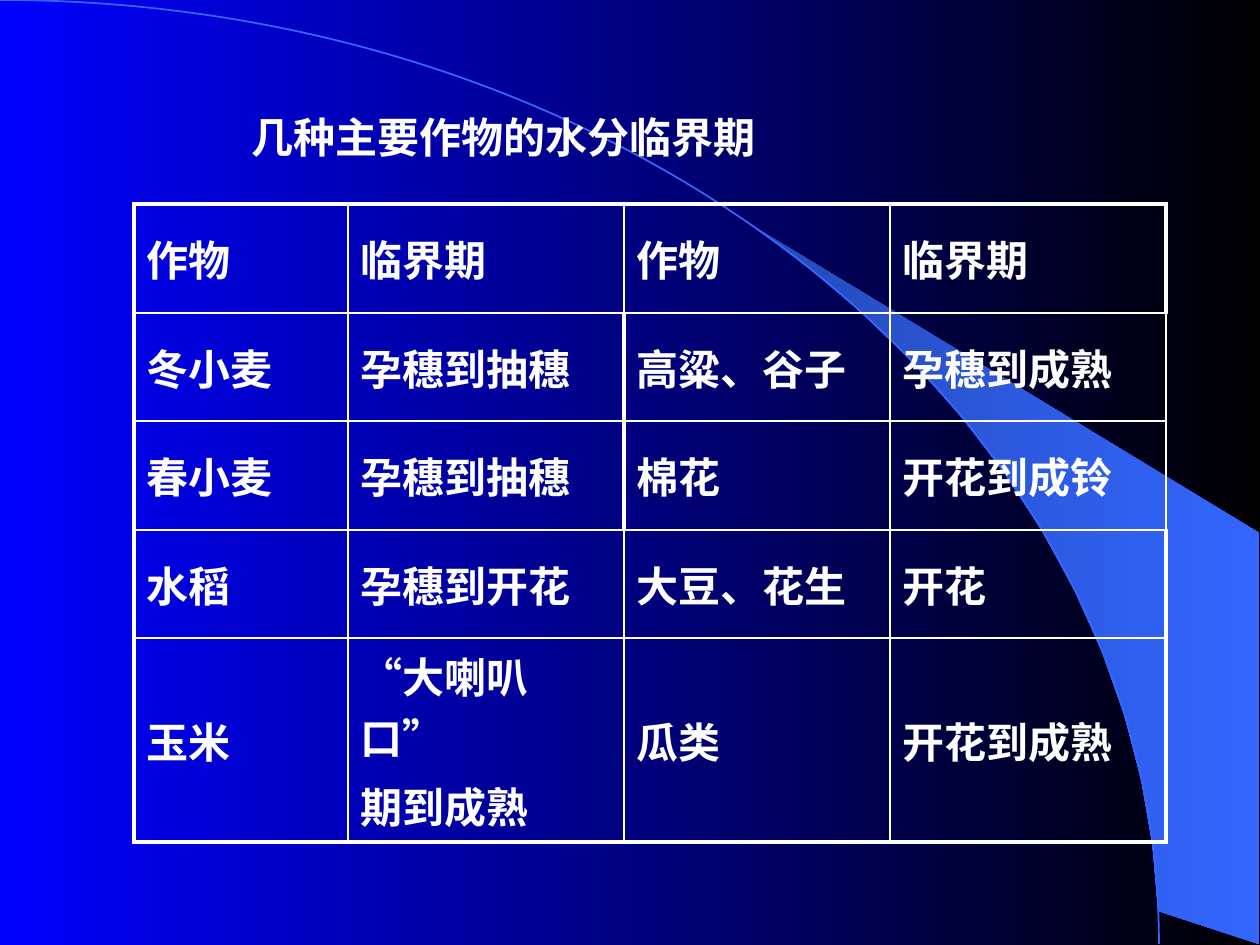
import math
from dataclasses import dataclass

from lxml import etree
from pptx import Presentation
from pptx.dml.color import RGBColor
from pptx.enum.lang import MSO_LANGUAGE_ID
from pptx.enum.text import MSO_ANCHOR
from pptx.oxml.ns import qn
from pptx.util import Emu, Pt

MIDDLE = MSO_ANCHOR.MIDDLE
CHINESE = MSO_LANGUAGE_ID.SIMPLIFIED_CHINESE

EMU_PER_PX = 914400 / 126
SLIDE_W, SLIDE_H = 1260, 945
ARC_RX, ARC_RY = 1159, 944
ARC_CONTROLS = ((640, 0), (1159, 422))
WEDGE_ANGLES = range(40, 91, 4)  # degrees along the arc
THIN, THICK = 1, 2.25
COLORS = {"blue": "0000FF", "black": "000000", "white": "FFFFFF",
          "arc": "3366FF", "wedge": "2449B6"}
LATIN, CJK = "Times New Roman", "Noto Sans CJK SC"


@dataclass
class CropRow:
    cells: tuple[str, ...]
    height: int
    thick_middle: bool = False
    thick_right: bool = True


COL_WIDTHS = (214, 276, 266, 276)
ROWS = (
    CropRow(("作物", "临界期", "作物", "临界期"), 109),
    CropRow(("冬小麦", "孕穗到抽穗", "高粱、谷子", "孕穗到成熟"), 108,
            thick_middle=True, thick_right=False),
    CropRow(("春小麦", "孕穗到抽穗", "棉花", "开花到成铃"), 109,
            thick_middle=True, thick_right=False),
    CropRow(("水稻", "孕穗到开花", "大豆、花生", "开花"), 108),
    CropRow(("玉米", "“大喇叭口”\n期到成熟", "瓜类", "开花到成熟"), 204),
)


def px(n: float) -> Emu:
    return Emu(round(n * EMU_PER_PX))


def rgb(name: str) -> RGBColor:
    return RGBColor.from_string(COLORS[name])


def set_gradient(fill, start: str, end: str) -> None:
    fill.gradient()
    fill.gradient_angle = 0
    for stop, name in zip(fill.gradient_stops, (start, end)):
        stop.color.rgb = rgb(name)


def arc_point(degrees: int) -> tuple[float, float]:
    a = math.radians(degrees)
    return ARC_RX * math.sin(a), ARC_RY * (1 - math.cos(a))


def add_outline(slide, points: list[tuple[float, float]], close: bool):
    pts = [(px(x), px(y)) for x, y in points]
    builder = slide.shapes.build_freeform(*pts[0])
    builder.add_line_segments(pts[1:], close=close)
    sp = builder.convert_to_shape()
    sp.shadow.inherit = False
    return sp


def bend_line(sp, controls: tuple[tuple[int, int], ...]) -> None:
    """Turn the only line segment of an outline into a cubic curve."""
    segment = next(sp._element.iter(qn("a:lnTo")))
    segment.tag = qn("a:cubicBezTo")
    for i, (x, y) in enumerate(controls):
        segment.insert(i, etree.Element(qn("a:pt"), x=str(px(x)), y=str(px(y))))


def format_runs(tf, font_name: str) -> None:
    for p in tf.paragraphs:
        for r in p.runs:
            r.font.size = Pt(24)
            r.font.bold = True
            r.font.name = font_name
            r.font.language_id = CHINESE
            r.font.color.rgb = rgb("white")
            ea = etree.Element(qn("a:ea"), typeface=CJK)
            r.font._element.find(qn("a:latin")).addnext(ea)


def add_borders(cell, widths: dict[str, float]) -> None:
    tc_pr = cell._tc.get_or_add_tcPr()
    for side, width in widths.items():
        ln = etree.SubElement(tc_pr, qn(f"a:ln{side}"), w=str(Pt(width)))
        fill = etree.SubElement(ln, qn("a:solidFill"))
        etree.SubElement(fill, qn("a:srgbClr"), val=COLORS["white"])


def border_widths(row: int, col: int) -> dict[str, float]:
    data = ROWS[row]
    verticals = (True, False, data.thick_middle, False, data.thick_right)
    thick = {"L": verticals[col], "R": verticals[col + 1],
             "T": row == 0, "B": row == len(ROWS) - 1}
    return {side: THICK if on else THIN for side, on in thick.items()}


def add_background(slide) -> None:
    set_gradient(slide.background.fill, "blue", "black")
    # Light wedge outside the arc
    corners = [(1259, 944), (1259, 533)]
    wedge = add_outline(slide, corners + [arc_point(d) for d in WEDGE_ANGLES], True)
    set_gradient(wedge.fill, "wedge", "arc")
    wedge.line.fill.background()
    # Arc line
    arc = add_outline(slide, [(0, 0), (ARC_RX, ARC_RY)], False)
    bend_line(arc, ARC_CONTROLS)
    arc.fill.background()
    arc.line.color.rgb = rgb("arc")
    arc.line.width = Pt(1)


def add_title(slide) -> None:
    sp = slide.shapes.add_textbox(px(144), px(85), px(993), px(89))
    tf = sp.text_frame
    tf.word_wrap = True
    tf.margin_left = px(108)
    tf.text = "几种主要作物的水分临界期"
    tf.paragraphs[0].line_spacing = 1.4
    format_runs(tf, CJK)


def add_crop_table(slide) -> None:
    frame = slide.shapes.add_table(
        len(ROWS), len(COL_WIDTHS), px(134), px(204),
        px(sum(COL_WIDTHS)), px(sum(row.height for row in ROWS)))
    table = frame.table
    table.first_row = table.horz_banding = False
    for column, width in zip(table.columns, COL_WIDTHS):
        column.width = px(width)
    for i, row in enumerate(ROWS):
        table.rows[i].height = px(row.height)
        for j, text in enumerate(row.cells):
            cell = table.cell(i, j)
            cell.vertical_anchor = MIDDLE
            add_borders(cell, border_widths(i, j))
            cell.fill.background()
            tf = cell.text_frame
            tf.text = text
            for p in tf.paragraphs:
                p.space_before = Pt(4.8)
            format_runs(tf, LATIN)


def main() -> None:
    prs = Presentation()
    prs.slide_width, prs.slide_height = px(SLIDE_W), px(SLIDE_H)
    slide = prs.slides.add_slide(prs.slide_layouts[6])
    add_background(slide)
    add_title(slide)
    add_crop_table(slide)
    prs.save("out.pptx")


if __name__ == "__main__":
    main()
